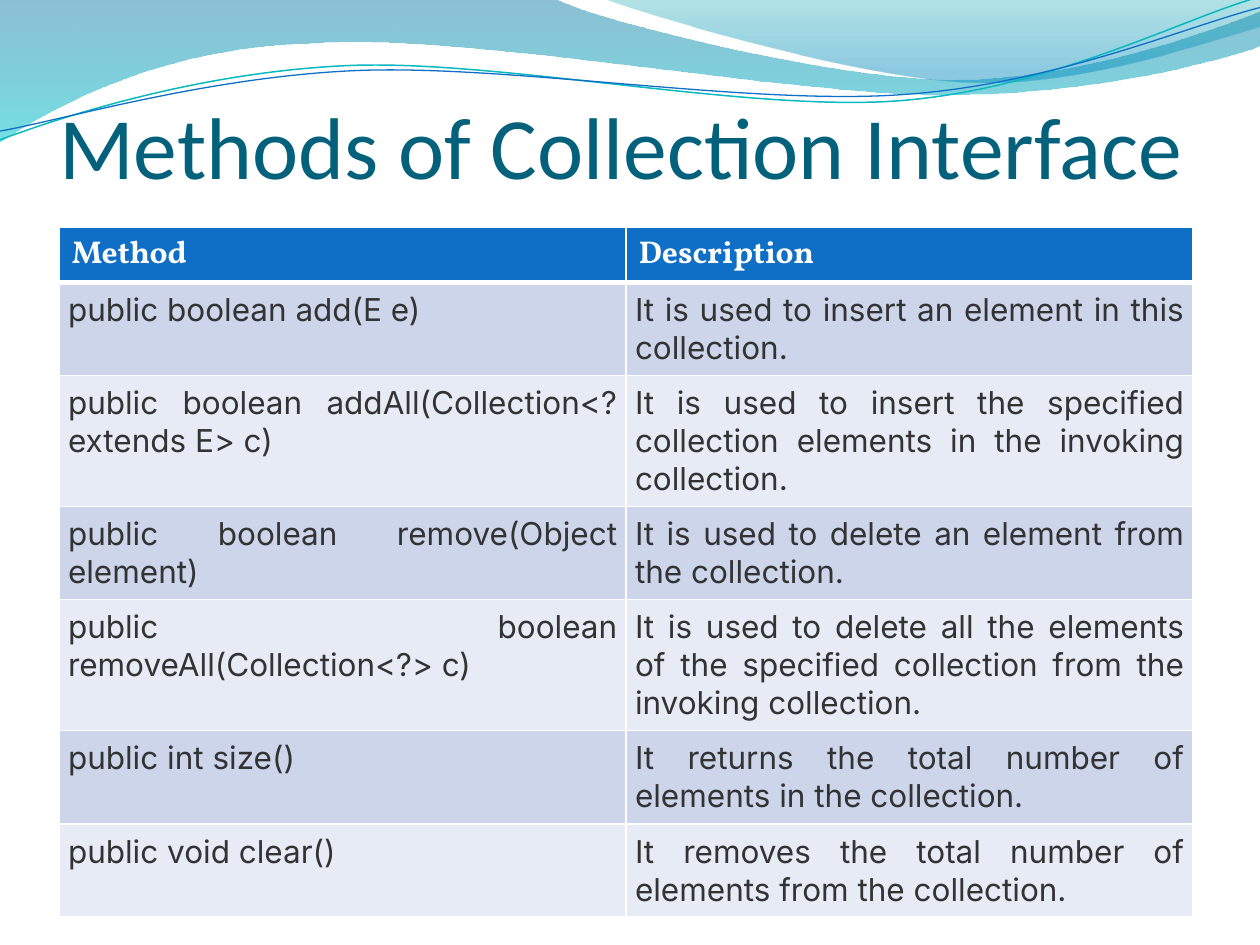
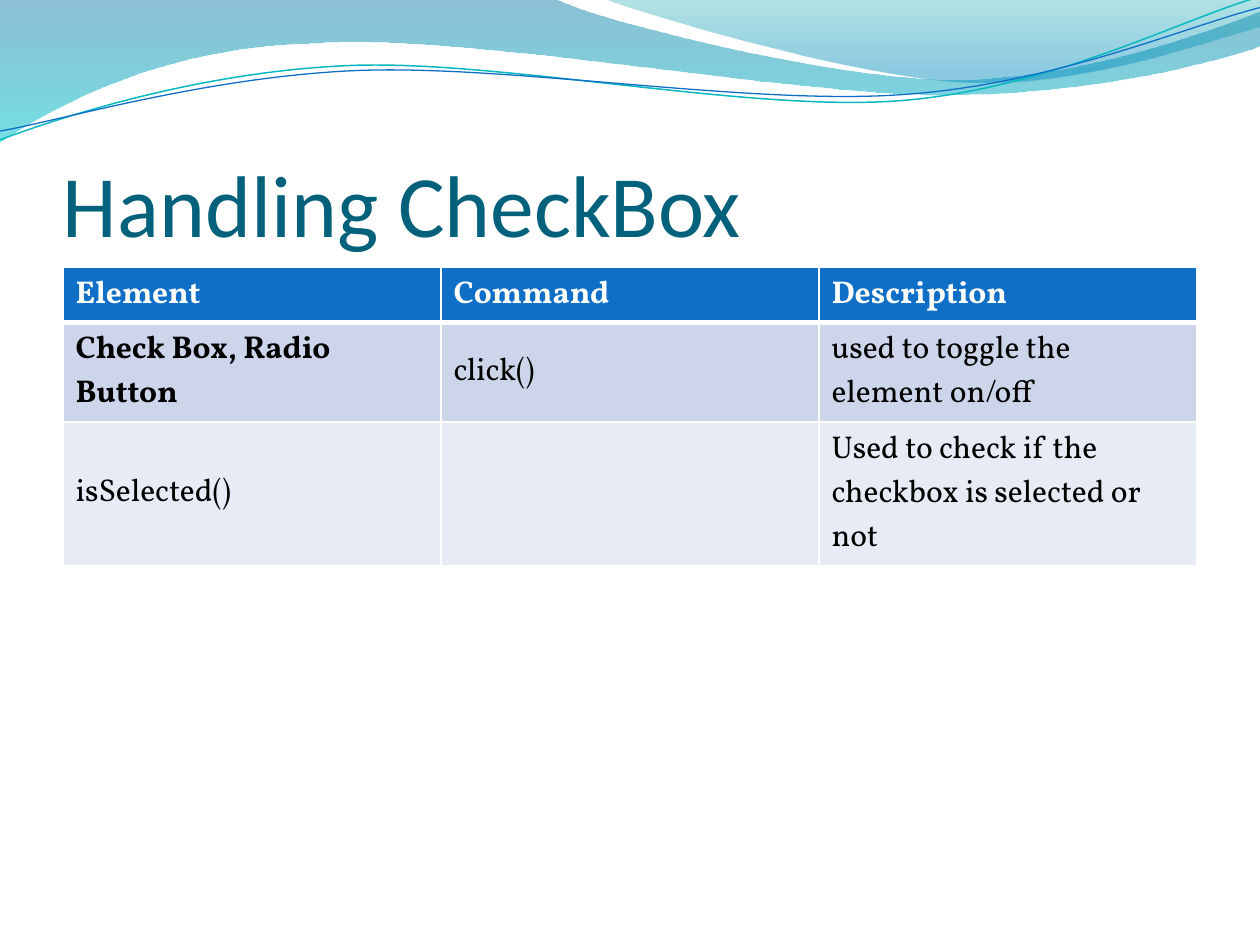
from math import cos, radians, sin

from lxml import etree
from pptx import Presentation
from pptx.dml.color import RGBColor
from pptx.enum.text import MSO_ANCHOR, PP_ALIGN
from pptx.oxml.ns import qn
from pptx.util import Inches, Pt

TOP, MIDDLE, BOTTOM = MSO_ANCHOR.TOP, MSO_ANCHOR.MIDDLE, MSO_ANCHOR.BOTTOM
LEFT, JUSTIFY = PP_ALIGN.LEFT, PP_ALIGN.JUSTIFY

# Palette and fonts
BLUE, TEAL, NAVY = "0F6FC6", "0AB8BF", "04617B"
WHITE, BLACK, GREY = "FFFFFF", "000000", "333333"
BANDS = ("CCD5EA", "E7EBF5")
HEAD, BODY, CODE = "Calibri", "Vollkorn", "Inter"
TILT = 2.7

# Wave outlines: a pair is a straight step, six numbers are a Bezier step
BROAD = [(0, 0), (4.4, -0.01), (4.76, 0.17, 6.64, 0.63, 7.58, 0.63),
         (8.53, 0.63, 9.58, 0.26, 10, 0.09), (10.01, 0.36),
         (9.83, 0.44, 8.7, 0.76, 7.46, 0.75),
         (6.22, 0.75, 3.82, 0.28, 2.57, 0.34),
         (1.29, 0.36, 0.46, 0.83, -0.01, 1.13), (0, 0)]
CREST = [(4.79, -0.01), (5.09, 0.11, 6.82, 0.62, 7.69, 0.65),
         (8.56, 0.69, 9.61, 0.32, 10, 0.21), (10, 0), (4.79, -0.01)]
UPPER = [(0, 1.11), (0.48, 0.93, 1.58, 0.57, 2.77, 0.52),
         (3.95, 0.47, 5.93, 0.89, 7.13, 0.8),
         (8.33, 0.71, 9.38, 0.15, 9.98, -0.02)]
LOWER = [(0, 1.04), (0.47, 0.96, 1.64, 0.61, 2.83, 0.56),
         (4.03, 0.51, 5.97, 0.84, 7.17, 0.75),
         (8.36, 0.67, 9.41, 0.21, 10, 0.06)]


def color(code):
    return RGBColor.from_string(code)


def turn(steps, mid, angle):
    """Turn all points of the steps clockwise about a centre."""
    c, s = cos(radians(angle)), sin(radians(angle))
    result = []
    for step in steps:
        spots = [(x - mid[0], y - mid[1]) for x, y in zip(step[::2], step[1::2])]
        result.append(tuple(v for x, y in spots for v in
                            (mid[0] + x * c - y * s, mid[1] + x * s + y * c)))
    return result


def write(frame, text, font=BODY, size=18, ink=BLACK, bold=False, align=LEFT):
    para = frame.paragraphs[0]
    para.alignment = align
    run = para.add_run()
    run.text = text
    run.font.name, run.font.size, run.font.bold = font, Pt(size), bold
    run.font.color.rgb = color(ink)


class Deck:
    def __init__(self):
        self.file = Presentation()
        self.file.slide_width, self.file.slide_height = Inches(10), Inches(7.5)
        self.blank = self.file.slide_layouts[6]
        self.slide = None

    def page(self, title, left, top):
        first = self.slide is None
        self.slide = self.file.slides.add_slide(self.blank)
        if first:
            self.backdrop()
        self.title(title, left, top)

    def backdrop(self):
        """Draw the waves once and hand them to the shared layout."""
        fill = self.blank.background.fill
        fill.solid()
        fill.fore_color.rgb = color(WHITE)
        self.wave(BROAD, [(0, "0074A1", 45), (1, "00C6CF", 55)])
        self.wave(CREST, [(0, "00A1A9", 30), (0.8, "008BBF", 45)])
        self.curve(UPPER, (4.99, 0.575), TEAL, 0.85)
        self.curve(LOWER, (4.995, 0.59), BLUE, 0.75)
        for shape in list(self.slide.shapes):
            self.blank.shapes._spTree.append(shape._element)

    def outline(self, steps, close):
        """Build through every point, then join triples into Bezier steps."""
        points = [(Inches(x), Inches(y)) for step in steps
                  for x, y in zip(step[::2], step[1::2])]
        pen = self.slide.shapes.build_freeform(*points[0])
        pen.add_line_segments(points[1:], close=close)
        shape = pen.convert_to_shape()
        shape.shadow.inherit = False
        lines = list(shape._element.iter(qn("a:lnTo")))
        for step in steps[1:]:
            group, lines = lines[:len(step) // 2], lines[len(step) // 2:]
            if len(group) == 3:
                bend = etree.Element(qn("a:cubicBezTo"))
                group[0].addprevious(bend)
                for line in group:
                    bend.append(line[0])
                    line.getparent().remove(line)
        return shape

    def wave(self, steps, stops):
        shape = self.outline(steps, True)
        shape.line.fill.background()
        shape.fill.gradient()
        shape.fill.gradient_angle = 270
        for stop, (place, code, _) in zip(shape.fill.gradient_stops, stops):
            stop.position = place
            stop.color.rgb = color(code)
        tints = shape._element.spPr.iter(qn("a:srgbClr"))
        for tint, (_, _, alpha) in zip(tints, stops):
            etree.SubElement(tint, qn("a:alpha"), val=str(alpha * 1000))

    def curve(self, steps, mid, ink, width):
        shape = self.outline(turn(steps, mid, TILT), False)
        shape.rotation = 360 - TILT
        shape.fill.background()
        shape.line.color.rgb = color(ink)
        shape.line.width = Pt(width)

    def title(self, text, left, top):
        box = self.slide.shapes.add_textbox(
            Inches(left), Inches(top), Inches(9), Inches(1.25))
        frame = box.text_frame
        frame.word_wrap = True
        frame.vertical_anchor = BOTTOM
        frame.margin_left = frame.margin_right = frame.margin_bottom = 0
        frame.margin_top = Inches(0.05)
        write(frame, text, font=HEAD, size=50, ink=NAVY)

    def table(self, left, top, rows, tall, anchor=TOP, pad=None, strong=(),
              **style):
        """Draw a header and banded rows; strong lists the bold cells."""
        wide = len(rows[0])
        grid = self.slide.shapes.add_table(
            len(rows), wide, Inches(left), Inches(top),
            Inches(9), Inches(sum(tall))).table
        for col in grid.columns:
            col.width = Inches(9 / wide)
        for r, row in enumerate(rows):
            grid.rows[r].height = Inches(tall[r])
            for c, text in enumerate(row):
                cell = grid.cell(r, c)
                cell.vertical_anchor = anchor
                cell.fill.solid()
                cell.fill.fore_color.rgb = color(BANDS[(r - 1) % 2] if r else BLUE)
                self.border(cell, r)
                if r and pad:
                    cell.margin_left = cell.margin_right = Inches(pad)
                    cell.margin_top = cell.margin_bottom = Inches(pad)
                if not r:
                    write(cell.text_frame, text, ink=WHITE, bold=True)
                elif text:
                    write(cell.text_frame, text, bold=(r, c) in strong, **style)

    def border(self, cell, row):
        """White rules, with a heavy one below the header."""
        widths = {"lnL": 1, "lnR": 1, "lnT": 3 if row == 1 else 1,
                  "lnB": 1 if row else 3}
        props = cell._tc.get_or_add_tcPr()
        for i, (side, width) in enumerate(widths.items()):
            line = etree.Element(qn("a:" + side), w=str(Pt(width)))
            fill = etree.SubElement(line, qn("a:solidFill"))
            etree.SubElement(fill, qn("a:srgbClr"), val=WHITE)
            props.insert(i, line)


deck = Deck()

# Slide 1: collection methods
deck.page("Methods of Collection Interface", 0.47, 0.31)
deck.table(0.47, 1.8, [
    ("Method", "Description"),
    ("public boolean add(E e)",
     "It is used to insert an element in this collection."),
    ("public boolean addAll(Collection<? extends E> c)",
     "It is used to insert the specified collection elements in the "
     "invoking collection."),
    ("public boolean remove(Object element)",
     "It is used to delete an element from the collection."),
    ("public boolean removeAll(Collection<?> c)",
     "It is used to delete all the elements of the specified collection "
     "from the invoking collection."),
    ("public int size()",
     "It returns the total number of elements in the collection."),
    ("public void clear()",
     "It removes the total number of elements from the collection."),
], [0.44] + [0.41] * 6, pad=0.07, font=CODE, ink=GREY, align=JUSTIFY)

# Slide 2: check box commands
deck.page("Handling CheckBox", 0.5, 0.77)
deck.table(0.5, 2.12, [
    ("Element", "Command", "Description"),
    ("Check Box,\u00a0Radio Button", "click()",
     "used to toggle the element on/off"),
    ("isSelected()", "", "Used to check if the checkbox is selected or not"),
], [0.44, 0.79, 1.14], anchor=MIDDLE, strong=[(1, 0)])

deck.file.save("out.pptx")
